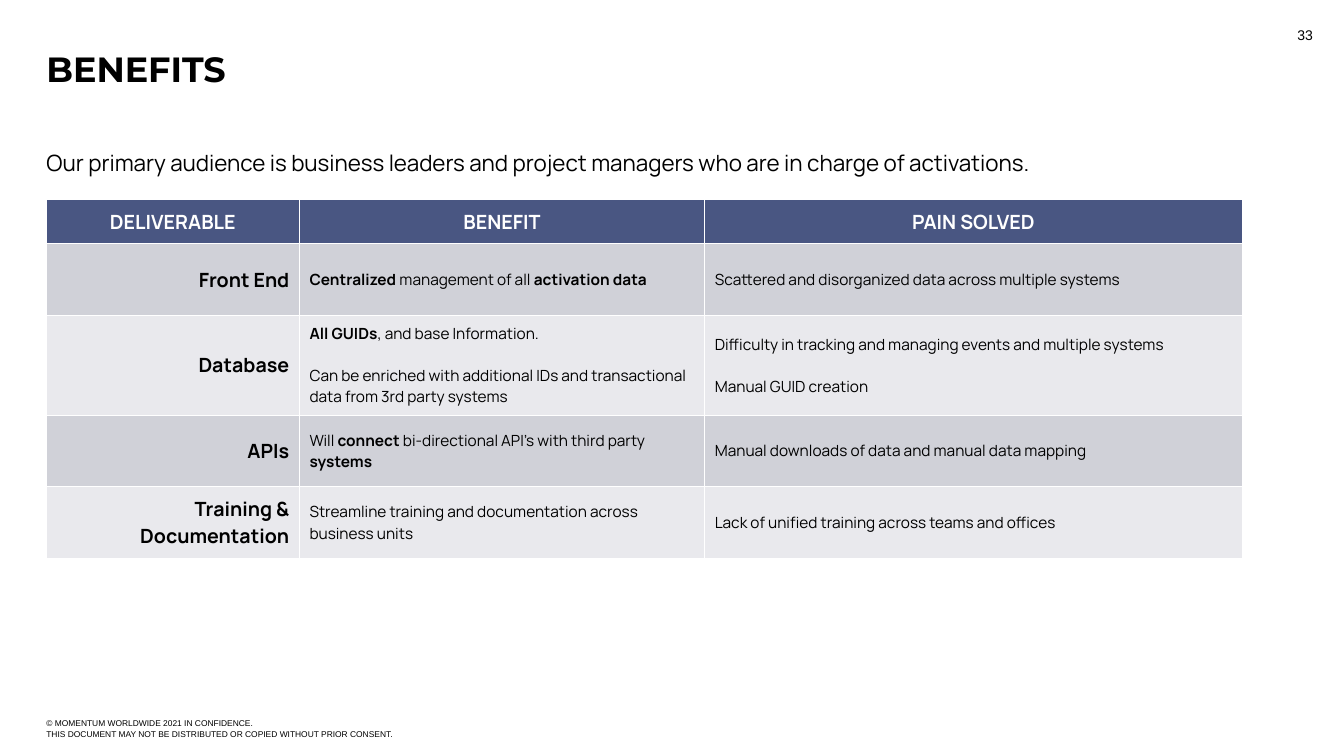
from lxml.etree import SubElement
from pptx import Presentation
from pptx.dml.color import RGBColor
from pptx.enum.text import MSO_ANCHOR, MSO_AUTO_SIZE, PP_ALIGN
from pptx.oxml.ns import qn
from pptx.util import Pt

SCALE = 9144
BLACK, WHITE, NAVY = "000000", "FFFFFF", "495682"
BANDS = ["D0D1D8", "E9E9ED"]
HEADS = ["DELIVERABLE", "BENEFIT", "PAIN SOLVED"]
COLS = [251, 402, 533]
ROWS = [44, 71, 99, 71, 71]
ITEMS = [
    ("Front End",
     [[("Centralized", True), (" management of all ", False), ("activation data", True)]],
     ["Scattered and disorganized data across multiple systems"]),
    ("Database",
     [[("All GUIDs", True), (", and base Information.", False)],
      "Can be enriched with additional IDs and transactional data from 3rd party systems"],
     ["Difficulty in tracking and managing events and multiple systems",
      "Manual GUID creation"]),
    ("APIs",
     [[("Will ", False), ("connect", True),
       (" bi-directional API's with third party ", False), ("systems", True)]],
     ["Manual downloads of data and manual data mapping"]),
    ("Training & Documentation",
     ["Streamline training and documentation across business units"],
     ["Lack of unified training across teams and offices"]),
]


def px(n):
    return n * SCALE


def color(code):
    return RGBColor.from_string(code)


def place(shape, box):
    shape.left, shape.top, shape.width, shape.height = map(px, box)


def add_run(para, text, size, font, bold=False, code=BLACK):
    run = para.add_run()
    run.text = text
    run.font.size = Pt(size)
    run.font.name = font
    run.font.bold = bold
    run.font.color.rgb = color(code)


def set_frame(frame, anchor, inset=0):
    frame.word_wrap = True
    frame.auto_size = MSO_AUTO_SIZE.NONE
    frame.vertical_anchor = anchor
    frame.margin_left = frame.margin_right = px(inset)
    frame.margin_top = frame.margin_bottom = 0


def add_title(slide, box):
    title = slide.shapes.title
    place(title, box)
    set_frame(title.text_frame, MSO_ANCHOR.TOP)
    para = title.text_frame.paragraphs[0]
    para.alignment = PP_ALIGN.LEFT
    para.line_spacing = 0.85
    add_run(para, "BENEFITS", 25, "Montserrat", True)


def add_intro(slide, box):
    body = slide.placeholders[1]
    place(body, box)
    set_frame(body.text_frame, MSO_ANCHOR.TOP)
    para = body.text_frame.paragraphs[0]
    props = para._p.get_or_add_pPr()
    props.set("marL", "0")
    props.set("indent", "0")
    SubElement(props, qn("a:buNone"))
    para.space_before = Pt(0)
    add_run(para, "Our primary audience is business leaders and project managers "
            "who are in charge of activations.", 16, "Manrope")


def add_footer(slide, box):
    note = slide.shapes.add_textbox(*map(px, box))
    set_frame(note.text_frame, MSO_ANCHOR.MIDDLE)
    para = note.text_frame.paragraphs[0]
    para.line_spacing = 1.15
    add_run(para, "© MOMENTUM WORLDWIDE 2021 IN CONFIDENCE.", 6, "Arial")
    para.add_line_break()
    add_run(para, "THIS DOCUMENT MAY NOT BE DISTRIBUTED OR COPIED "
            "WITHOUT PRIOR CONSENT.", 6, "Arial")


def add_number(slide, box):
    label = slide.shapes.add_textbox(*map(px, box))
    set_frame(label.text_frame, MSO_ANCHOR.MIDDLE, 10)
    para = label.text_frame.paragraphs[0]
    para.alignment = PP_ALIGN.RIGHT
    add_run(para, "33", 10, "Arial")


def fill_cell(cell, paras, fill, align, size, bold=False, code=BLACK):
    props = cell._tc.get_or_add_tcPr()
    for side in ("lnL", "lnR", "lnT", "lnB"):
        line = SubElement(props, qn("a:" + side), w=str(Pt(1)))
        solid = SubElement(line, qn("a:solidFill"))
        SubElement(solid, qn("a:srgbClr"), val=WHITE)
    cell.fill.solid()
    cell.fill.fore_color.rgb = color(fill)
    cell.vertical_anchor = MSO_ANCHOR.MIDDLE
    frame = cell.text_frame
    for i, runs in enumerate(paras):
        para = frame.add_paragraph() if i else frame.paragraphs[0]
        para.alignment = align
        if i:
            para.space_before = Pt(15)
        if isinstance(runs, str):
            runs = [(runs, bold)]
        for text, heavy in runs:
            add_run(para, text, size, "Manrope", heavy, code)


def add_grid(slide, box):
    table = slide.shapes.add_table(len(ROWS), len(COLS), *map(px, box)).table
    for col, width in zip(table.columns, COLS):
        col.width = px(width)
    for row, height in zip(table.rows, ROWS):
        row.height = px(height)
    for c, head in enumerate(HEADS):
        fill_cell(table.cell(0, c), [head], NAVY, PP_ALIGN.CENTER, 14, True, WHITE)
    for r, (name, gain, pain) in enumerate(ITEMS, 1):
        band = BANDS[(r - 1) % 2]
        fill_cell(table.cell(r, 0), [name], band, PP_ALIGN.RIGHT, 14, True)
        for c, paras in enumerate((gain, pain), 1):
            fill_cell(table.cell(r, c), paras, band, PP_ALIGN.LEFT, 11)


def main():
    deck = Presentation()
    deck.slide_width, deck.slide_height = px(1333), px(750)
    slide = deck.slides.add_slide(deck.slide_layouts[1])
    add_footer(slide, (46, 696, 401, 52))
    add_title(slide, (46, 54, 1242, 100))
    add_intro(slide, (46, 148, 1242, 53))
    add_number(slide, (1012, 15, 300, 40))
    add_grid(slide, (46, 198, sum(COLS), sum(ROWS)))
    deck.save("out.pptx")


if __name__ == "__main__":
    main()
